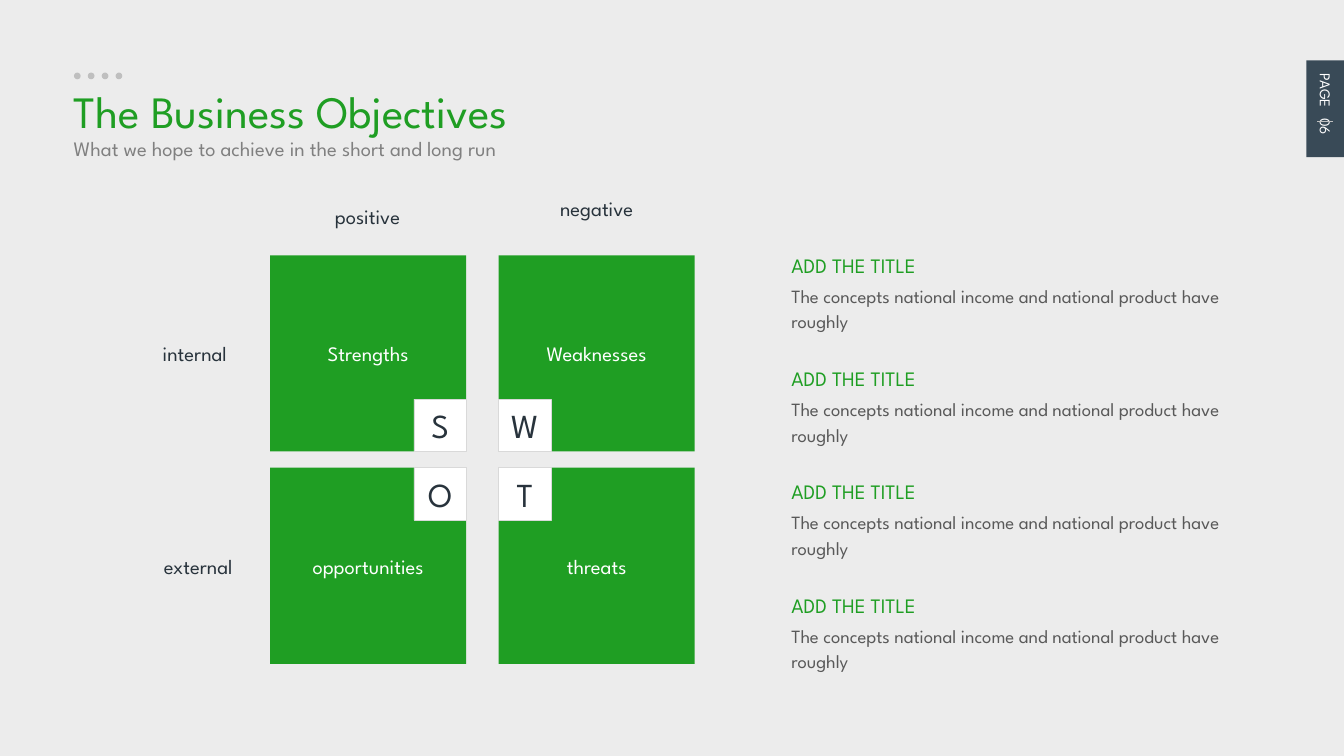
from pptx import Presentation
from pptx.dml.color import RGBColor
from pptx.enum.shapes import MSO_CONNECTOR, MSO_SHAPE
from pptx.enum.text import MSO_ANCHOR, MSO_AUTO_SIZE, PP_ALIGN
from pptx.oxml.ns import qn
from pptx.util import Inches, Pt
from lxml import etree

FONT = "League Spartan"
GREEN, DARK, WHITE = "1F9E23", "28333C", "FFFFFF"
SILVER, PALE = "BFBFBF", "D9D9D9"


def rgb(value):
    """Return the colour for a hex string."""
    return RGBColor.from_string(value)


def write(sp, text, size, color, align=PP_ALIGN.LEFT, wrap=False, spacing=None, tab=None):
    """Fill a shape with one formatted paragraph."""
    tf = sp.text_frame
    tf.auto_size = MSO_AUTO_SIZE.NONE
    tf.word_wrap = wrap
    p = tf.paragraphs[0]
    p.text = text
    p.alignment = align
    if spacing:
        p.line_spacing = spacing
    if tab:
        tabs = etree.SubElement(p._p.get_or_add_pPr(), qn("a:tabLst"))
        etree.SubElement(tabs, qn("a:tab"), pos=str(Inches(tab)), algn="l")
    p.font.name = FONT
    p.font.size = Pt(size)
    p.font.color.rgb = rgb(color)


def add_label(s, box, text, size, color, **options):
    """Add a text box."""
    sp = s.shapes.add_textbox(*map(Inches, box))
    write(sp, text, size, color, **options)
    return sp


def add_block(s, box, fill, line=None, kind=MSO_SHAPE.RECTANGLE):
    """Add a flat filled shape."""
    sp = s.shapes.add_shape(kind, *map(Inches, box))
    sp.shadow.inherit = False
    sp.fill.solid()
    sp.fill.fore_color.rgb = rgb(fill)
    if line:
        sp.line.color.rgb = rgb(line)
        sp.line.width = Pt(0.25)
    else:
        sp.line.fill.background()
    return sp


def add_header(s, x, y):
    """Place the dots, title and subtitle."""
    for i in range(4):
        add_block(s, (x + 0.1 + 0.31 * i / 3, y, 0.05, 0.05), SILVER, kind=MSO_SHAPE.OVAL)
    title = s.shapes.title
    title.left, title.top, title.width, title.height = map(Inches, (x, y + 0.03, 3.98, 0.5))
    write(title, "The Business Objectives", 24, GREEN)
    title.text_frame.vertical_anchor = MSO_ANCHOR.TOP
    add_label(s, (x, y + 0.42, 4.02, 0.29),
              "What we hope to achieve in the short and long run", 11, "808080")


def add_quadrant(s, x, y, side, letter, name, width, col, row):
    """Place one square with its name and a letter tile at the inner corner."""
    add_block(s, (x, y, side, side), GREEN)
    tile = 0.39
    tile_x = x if col else x + side - tile
    tile_y = y if row else y + side - tile
    sp = add_block(s, (tile_x, tile_y, tile, tile), WHITE, PALE)
    tf = sp.text_frame
    tf.margin_left = tf.margin_right = 0
    tf.vertical_anchor = MSO_ANCHOR.MIDDLE
    write(sp, letter, 18, DARK, align=PP_ALIGN.CENTER)
    add_label(s, (x + (side - width) / 2, y + 0.59, width, 0.29), name, 11, WHITE,
              align=PP_ALIGN.CENTER)


def add_swot(s, x, y):
    """Place the two-by-two matrix and its axis labels."""
    side, pitch_x, pitch_y = 1.46, 1.7, 1.58
    parts = [("S", "Strengths", 0.88), ("W", "Weaknesses", 1.1),
             ("O", "opportunities", 1.18), ("T", "threats", 0.71)]
    for i, (letter, name, width) in enumerate(parts):
        row, col = divmod(i, 2)
        add_quadrant(s, x + col * pitch_x, y + row * pitch_y, side, letter, name, width,
                     col, row)
    axes = [("positive", 0.34, -0.43, 0.77), ("negative", 1.99, -0.49, 0.88),
            ("internal", -0.94, 0.59, 0.76), ("external", -0.94, 0.59 + pitch_y, 0.81)]
    for text, dx, dy, width in axes:
        add_label(s, (x + dx, y + dy, width, 0.29), text, 11, DARK, align=PP_ALIGN.CENTER)


def add_notes_column(s, x, y):
    """Place the four headed paragraphs at equal steps."""
    for i in range(4):
        top = y + 2.53 * i / 3
        add_label(s, (x, top + 0.215, 3.5, 0.48),
                  "The concepts national income and national product have roughly",
                  10, "595959", wrap=True, spacing=1.14)
        add_label(s, (x, top, 1.2, 0.29), "ADD THE TITLE", 11, GREEN)


def add_page_tab(s, x, y):
    """Place the page marker on the right edge."""
    add_block(s, (x, y, 0.28, 0.72), "394A57")
    sp = add_label(s, (x - 0.22, y + 0.24, 0.72, 0.24), "PAGE\t06", 8, WHITE,
                   wrap=True, tab=0.33)
    sp.rotation = 90
    rule = s.shapes.add_connector(MSO_CONNECTOR.STRAIGHT, Inches(x + 0.08), Inches(y + 0.45),
                                  Inches(x + 0.2), Inches(y + 0.45))
    rule.line.color.rgb = rgb(SILVER)
    rule.line.width = Pt(0.25)
    etree.SubElement(rule._element.spPr, qn("a:effectLst"))


def main():
    """Build and save the slide."""
    prs = Presentation()
    prs.slide_width, prs.slide_height = Inches(10), Inches(10 * 9 / 16)
    s = prs.slides.add_slide(prs.slide_layouts[5])
    s.background.fill.solid()
    s.background.fill.fore_color.rgb = rgb("ECECEC")
    add_header(s, 0.45, 0.54)
    add_swot(s, 2.01, 1.9)
    add_notes_column(s, 5.79, 1.83)
    add_page_tab(s, 9.72, 0.45)
    prs.save("out.pptx")


if __name__ == "__main__":
    main()
